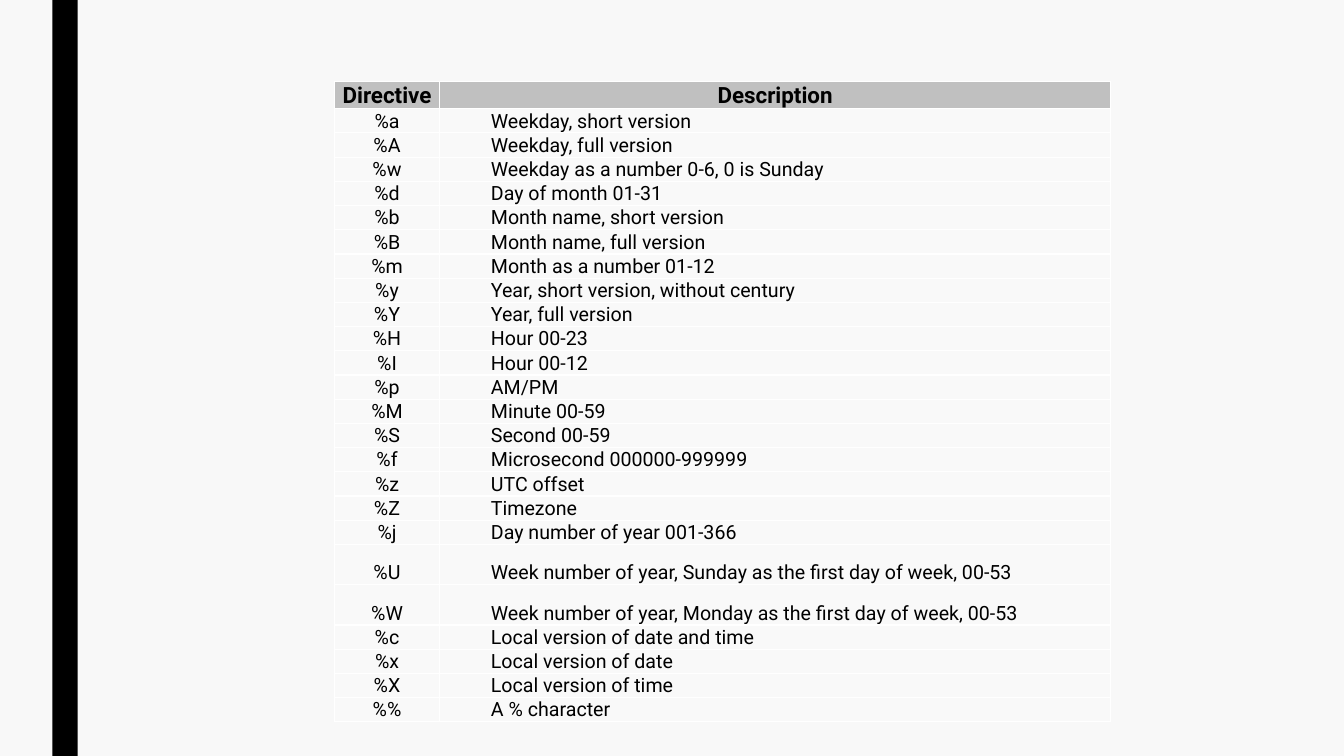
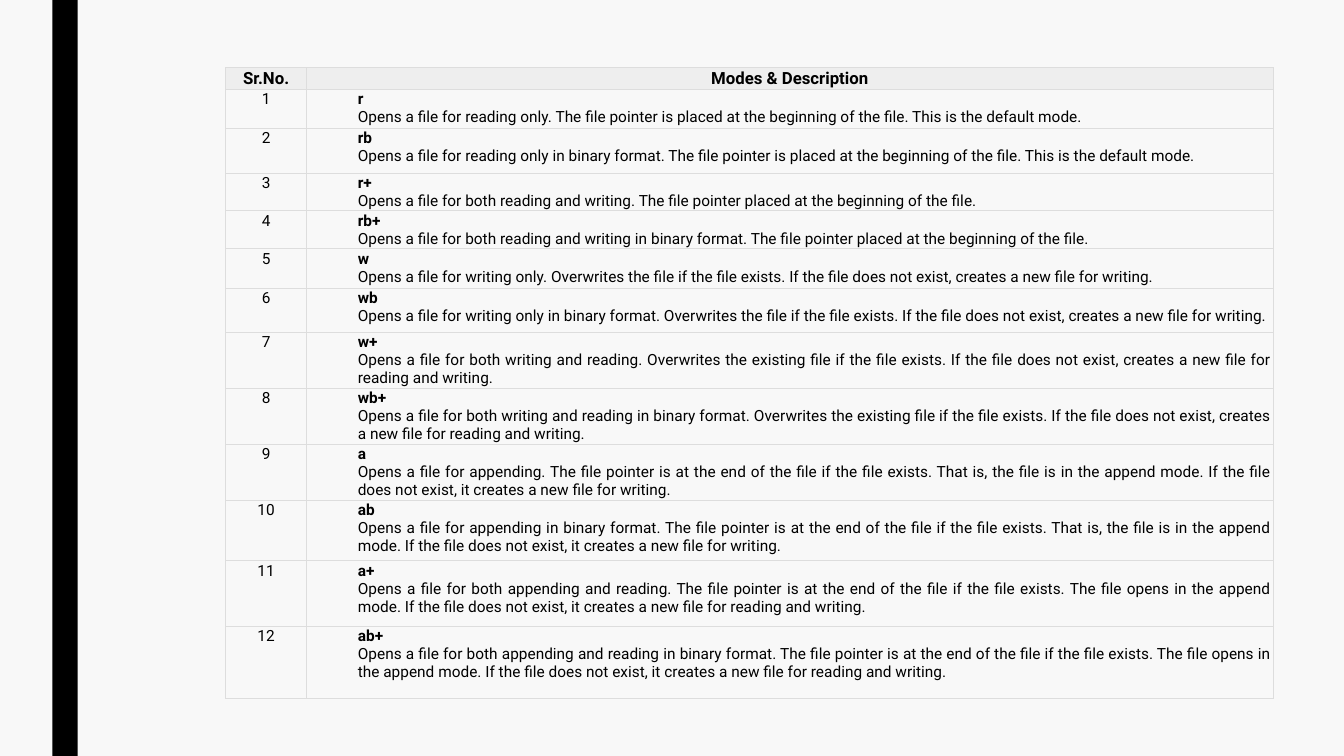
from lxml.etree import SubElement
from pptx import Presentation
from pptx.dml.color import RGBColor
from pptx.enum.shapes import MSO_SHAPE
from pptx.enum.text import MSO_ANCHOR as Anchor, PP_ALIGN as Align
from pptx.oxml.ns import qn
from pptx.util import Inches, Pt

DIRECTIVES = [
    ("%a", "Weekday, short version"),
    ("%A", "Weekday, full version"),
    ("%w", "Weekday as a number 0-6, 0 is Sunday"),
    ("%d", "Day of month 01-31"),
    ("%b", "Month name, short version"),
    ("%B", "Month name, full version"),
    ("%m", "Month as a number 01-12"),
    ("%y", "Year, short version, without century"),
    ("%Y", "Year, full version"),
    ("%H", "Hour 00-23"),
    ("%I", "Hour 00-12"),
    ("%p", "AM/PM"),
    ("%M", "Minute 00-59"),
    ("%S", "Second 00-59"),
    ("%f", "Microsecond 000000-999999"),
    ("%z", "UTC offset"),
    ("%Z", "Timezone"),
    ("%j", "Day number of year 001-366"),
    ("%U", "Week number of year, Sunday as the first day of week, 00-53"),
    ("%W", "Week number of year, Monday as the first day of week, 00-53"),
    ("%c", "Local version of date and time"),
    ("%x", "Local version of date"),
    ("%X", "Local version of time"),
    ("%%", "A % character"),
]

BEGINNING = "The file pointer is placed at the beginning of the file. This is the default mode."
PLACED = "The file pointer placed at the beginning of the file."
OVERWRITES = "Overwrites the file if the file exists."
REPLACES = "Overwrites the existing file if the file exists."
CREATES = "If the file does not exist, creates a new file for"
AT_END = "The file pointer is at the end of the file if the file exists."
IS_APPEND = "That is, the file is in the append mode."
OPENS_APPEND = "The file opens in the append mode."
IT_CREATES = "If the file does not exist, it creates a new file for"

# Each mode: name, description, row height in percent of the slide
MODES = [
    ("r", f"Opens a file for reading only. {BEGINNING}", 5.2),
    ("rb", f"Opens a file for reading only in binary format. {BEGINNING}", 5.87),
    ("r+", f"Opens a file for both reading and writing. {PLACED}", 4.53),
    ("rb+", f"Opens a file for both reading and writing in binary format. {PLACED}", 4.53),
    ("w", f"Opens a file for writing only. {OVERWRITES} {CREATES} writing.", 5.2),
    ("wb", f"Opens a file for writing only in binary format. {OVERWRITES} {CREATES} writing.", 5.87),
    ("w+", f"Opens a file for both writing and reading. {REPLACES} "
           f"{CREATES} reading and writing.", 5.87),
    ("wb+", f"Opens a file for both writing and reading in binary format. {REPLACES} "
            f"{CREATES} reading and writing.", 6.67),
    ("a", f"Opens a file for appending. {AT_END} {IS_APPEND} {IT_CREATES} writing.", 7.33),
    ("ab", f"Opens a file for appending in binary format. {AT_END} {IS_APPEND} "
           f"{IT_CREATES} writing.", 8),
    ("a+", f"Opens a file for both appending and reading. {AT_END} {OPENS_APPEND} "
           f"{IT_CREATES} reading and writing.", 8.67),
    ("ab+", f"Opens a file for both appending and reading in binary format. {AT_END} "
            f"{OPENS_APPEND} {IT_CREATES} reading and writing.", 9.47),
]


def color(value):
    """Turn a hex string into a colour."""
    return RGBColor.from_string(value)


class Deck:
    """Hold the shared style and the current slide; lengths are percent of the slide."""

    FONT, INK, PAPER = "Roboto", "000000", "F8F8F8"
    INSET, INDENT = Inches(0.01), Inches(0.5)

    def __init__(self):
        """Start a widescreen presentation with the shared background."""
        self.presentation = Presentation()
        self.presentation.slide_width = Inches(13.33)
        self.presentation.slide_height = Inches(7.5)
        background = self.presentation.slide_master.background.fill
        background.solid()
        background.fore_color.rgb = color(self.PAPER)
        self.slide = None

    def across(self, share):
        """Convert a percentage of the slide width."""
        return round(self.presentation.slide_width * share / 100)

    def down(self, share):
        """Convert a percentage of the slide height."""
        return round(self.presentation.slide_height * share / 100)

    def add_slide(self):
        """Add a blank slide with the vertical band."""
        self.slide = self.presentation.slides.add_slide(self.presentation.slide_layouts[6])
        band = self.slide.shapes.add_shape(
            MSO_SHAPE.RECTANGLE, self.across(3.9), 0, self.across(1.88), self.down(100))
        band.shadow.inherit = False
        band.fill.solid()
        band.fill.fore_color.rgb = color(self.INK)
        band.line.fill.background()

    def add_table(self, left, top, widths, heights):
        """Add an unstyled table with the given column and row sizes."""
        frame = self.slide.shapes.add_table(
            len(heights), len(widths), self.across(left), self.down(top),
            self.across(sum(widths)), self.down(sum(heights)))
        table = frame.table
        table.first_row = table.horz_banding = False
        for column, width in zip(table.columns, widths):
            column.width = self.across(width)
        for row, height in zip(table.rows, heights):
            row.height = self.down(height)
        return table

    def style_cell(self, cell, border, fill, anchor, bottom):
        """Set the borders, fill, margins and anchor of a cell."""
        line_color, line_width = border
        properties = cell._tc.get_or_add_tcPr()
        for side in ("lnL", "lnR", "lnT", "lnB"):
            line = SubElement(properties, qn(f"a:{side}"), w=str(Pt(line_width)))
            SubElement(SubElement(line, qn("a:solidFill")), qn("a:srgbClr"), val=line_color)
        if fill:
            cell.fill.solid()
            cell.fill.fore_color.rgb = color(fill)
        else:
            cell.fill.background()
        cell.margin_left = cell.margin_right = cell.margin_top = self.INSET
        cell.margin_bottom = bottom
        cell.vertical_anchor = anchor

    def set_lines(self, cell, lines, size, align, indented=False, bold=False):
        """Set the lines of a cell; the first of several lines is bold."""
        cell.text_frame.text = "\n".join(lines)
        for index, paragraph in enumerate(cell.text_frame.paragraphs):
            paragraph.alignment = align
            if indented:
                paragraph.level = 1
                properties = paragraph._p.get_or_add_pPr()
                properties.set("marL", str(self.INDENT))
                properties.set("indent", "0")
            font = paragraph.runs[0].font
            font.name, font.size = self.FONT, Pt(size)
            font.bold = bold or (len(lines) > 1 and index == 0)
            font.color.rgb = color(self.INK)

    def fill_table(self, table, header, rows, sizes, fills, border, anchor, bottom, align):
        """Fill a table of centred keys and indented descriptions below a header."""
        for row_index, row in enumerate([header] + rows):
            is_header = row_index == 0
            for column_index, lines in enumerate(row):
                cell = table.cell(row_index, column_index)
                indented = column_index == 1 and not is_header
                self.style_cell(cell, border, fills[not is_header], anchor, bottom)
                self.set_lines(cell, lines, sizes[not is_header],
                               align if indented else Align.CENTER, indented, is_header)


def add_directives(deck):
    """Build the slide of date format directives."""
    deck.add_slide()
    heights = [2.8] + [5.33 if key in ("%U", "%W") else 2.8 for key, _ in DIRECTIVES]
    table = deck.add_table(24.9, 10.8, [7.8, 49.95], heights)
    deck.fill_table(
        table, (["Directive"], ["Description"]),
        [([key], [description]) for key, description in DIRECTIVES],
        sizes=(16, 14), fills=("C0C0C0", "F9F9F9"), border=("FFFFFF", 1),
        anchor=Anchor.BOTTOM, bottom=0, align=Align.LEFT)


def add_modes(deck):
    """Build the slide of file opening modes."""
    deck.add_slide()
    heights = [1.07] + [height for _, _, height in MODES]
    table = deck.add_table(16.8, 8.93, [6, 71.94], heights)
    deck.fill_table(
        table, (["Sr.No."], ["Modes & Description"]),
        [([str(number)], [mode, description])
         for number, (mode, description, _) in enumerate(MODES, 1)],
        sizes=(12, 11), fills=("EEEEEE", None), border=("DDDDDD", 0.6),
        anchor=Anchor.TOP, bottom=deck.INSET, align=Align.JUSTIFY)


def main():
    """Build and save the presentation."""
    deck = Deck()
    add_directives(deck)
    add_modes(deck)
    deck.presentation.save("out.pptx")


main()
